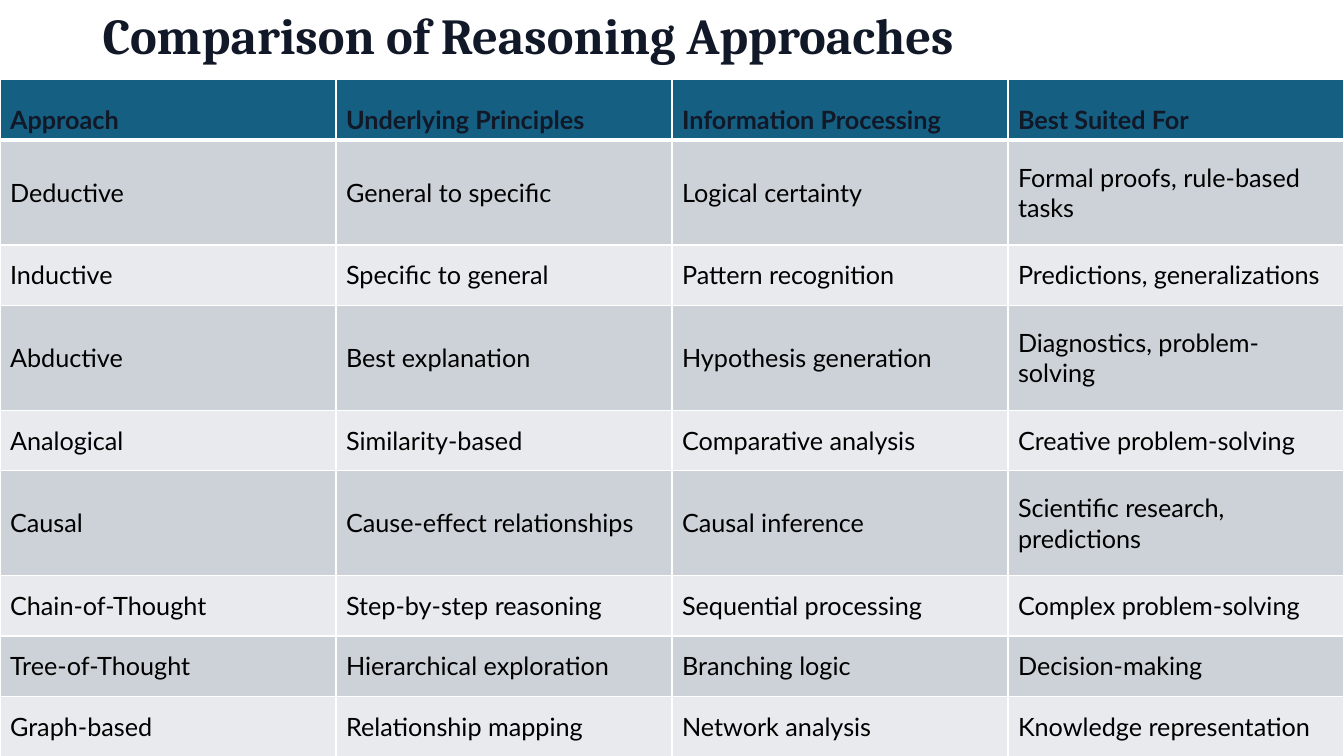
from dataclasses import dataclass

import pptx
import pptx.dml.color
import pptx.enum.text
import pptx.oxml
import pptx.oxml.ns
import pptx.util

Inches = pptx.util.Inches
Anchor = pptx.enum.text.MSO_ANCHOR


@dataclass(frozen=True)
class Theme:
    title_font: str = "Cambria"
    table_font: str = "Lato"
    title_size: int = 36
    table_size: int = 18
    ink: str = "111827"
    body_text: str = "000000"
    header_fill: str = "156082"
    odd_fill: str = "CCD2D8"
    even_fill: str = "E8EAED"
    rule: str = "FFFFFF"
    rule_width: int = 1
    header_rule_width: int = 3


THEME = Theme()
PAGE_WIDTH, PAGE_HEIGHT = 13.33, 7.5
TABLE_TOP = 0.79
SHORT_ROW, TALL_ROW = 0.6, 1.04
TALL_APPROACHES = {"Deductive", "Abductive", "Causal"}

TITLE = "Comparison of Reasoning Approaches"
ROWS = [
    ("Approach", "Underlying Principles", "Information Processing", "Best Suited For"),
    ("Deductive", "General to specific", "Logical certainty", "Formal proofs, rule-based tasks"),
    ("Inductive", "Specific to general", "Pattern recognition", "Predictions, generalizations"),
    ("Abductive", "Best explanation", "Hypothesis generation", "Diagnostics, problem-solving"),
    ("Analogical", "Similarity-based", "Comparative analysis", "Creative problem-solving"),
    ("Causal", "Cause-effect relationships", "Causal inference", "Scientific research, predictions"),
    ("Chain-of-Thought", "Step-by-step reasoning", "Sequential processing", "Complex problem-solving"),
    ("Tree-of-Thought", "Hierarchical exploration", "Branching logic", "Decision-making"),
    ("Graph-based", "Relationship mapping", "Network analysis", "Knowledge representation"),
]


def color(value):
    return pptx.dml.color.RGBColor.from_string(value)


def add_span(para, text, font, size, ink, bold):
    span = para.add_run()
    span.text = text
    span.font.name = font
    span.font.size = pptx.util.Pt(size)
    span.font.color.rgb = color(ink)
    span.font.bold = bold


def set_borders(cell, top_width, bottom_width):
    """Draw the four cell borders; they must precede the fill in the XML."""
    widths = {"lnL": THEME.rule_width, "lnR": THEME.rule_width,
              "lnT": top_width, "lnB": bottom_width}
    properties = cell._tc.get_or_add_tcPr()
    for position, (side, width) in enumerate(widths.items()):
        properties.insert(position, pptx.oxml.parse_xml(
            f'<a:{side} {pptx.oxml.ns.nsdecls("a")} w="{pptx.util.Pt(width)}">'
            f'<a:solidFill><a:srgbClr val="{THEME.rule}"/></a:solidFill></a:{side}>'))


def add_title(page, left, top, width, height):
    box = page.shapes.add_textbox(Inches(left), Inches(top), Inches(width), Inches(height))
    frame = box.text_frame
    frame.word_wrap = True
    frame.vertical_anchor = Anchor.MIDDLE
    para = frame.paragraphs[0]
    para.line_spacing = 0.9
    add_span(para, TITLE, THEME.title_font, THEME.title_size, THEME.ink, True)


def fill_cell(cell, text, row_index):
    header = row_index == 0
    cell.vertical_anchor = Anchor.BOTTOM if header else Anchor.MIDDLE
    add_span(cell.text_frame.paragraphs[0], text, THEME.table_font, THEME.table_size,
             THEME.ink if header else THEME.body_text, header)
    band = THEME.odd_fill if row_index % 2 else THEME.even_fill
    cell.fill.solid()
    cell.fill.fore_color.rgb = color(THEME.header_fill if header else band)
    set_borders(cell,
                THEME.header_rule_width if row_index == 1 else THEME.rule_width,
                THEME.header_rule_width if header else THEME.rule_width)


def add_comparison(page, left, top, width, height):
    columns = len(ROWS[0])
    table = page.shapes.add_table(len(ROWS), columns, Inches(left), Inches(top),
                                  Inches(width), Inches(height)).table
    for column in table.columns:
        column.width = Inches(width / columns)
    for row_index, texts in enumerate(ROWS):
        tall = texts[0] in TALL_APPROACHES
        table.rows[row_index].height = Inches(TALL_ROW if tall else SHORT_ROW)
        for column_index, text in enumerate(texts):
            fill_cell(table.cell(row_index, column_index), text, row_index)


def main():
    deck = pptx.Presentation()
    deck.slide_width, deck.slide_height = Inches(PAGE_WIDTH), Inches(PAGE_HEIGHT)
    page = deck.slides.add_slide(deck.slide_layouts[6])
    # Heading above the table
    add_title(page, 0.92, 0, 11.5, 0.75)
    # Full-width comparison table
    add_comparison(page, 0, TABLE_TOP, PAGE_WIDTH, PAGE_HEIGHT - TABLE_TOP)
    deck.save("out.pptx")


if __name__ == "__main__":
    main()
